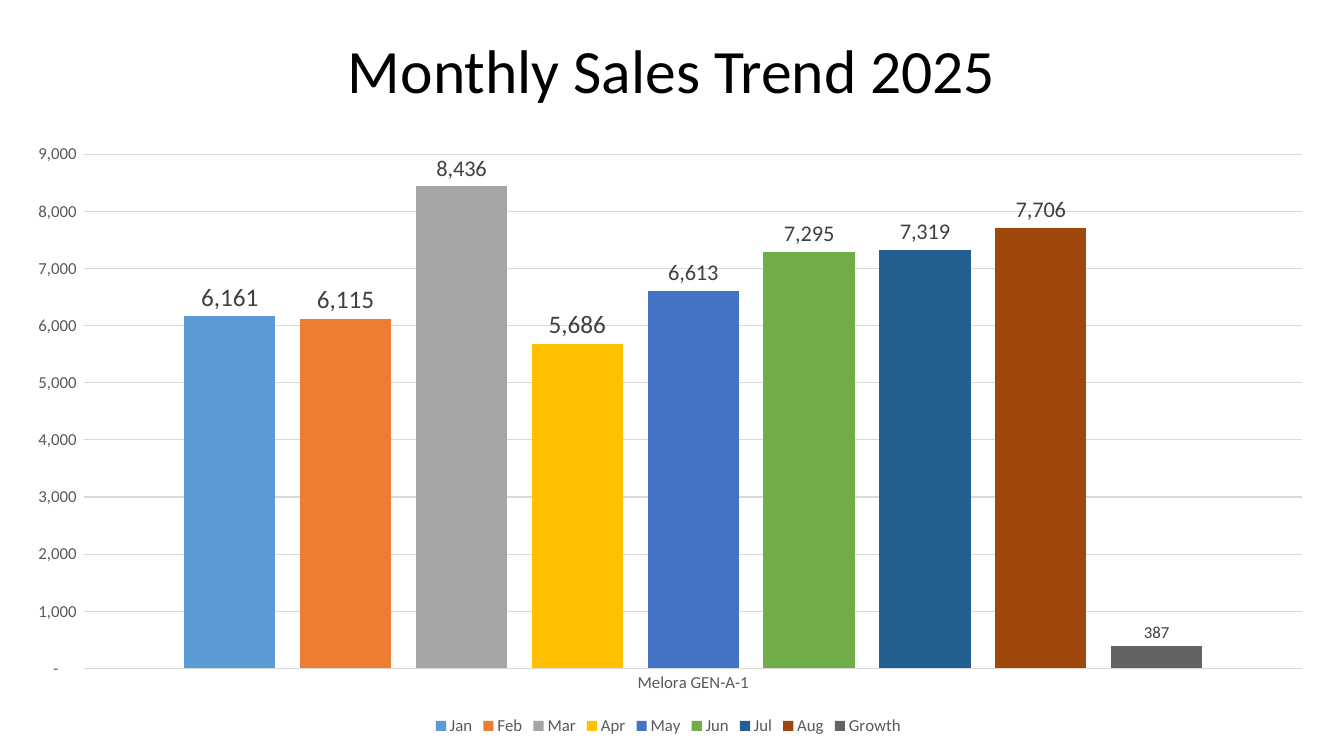
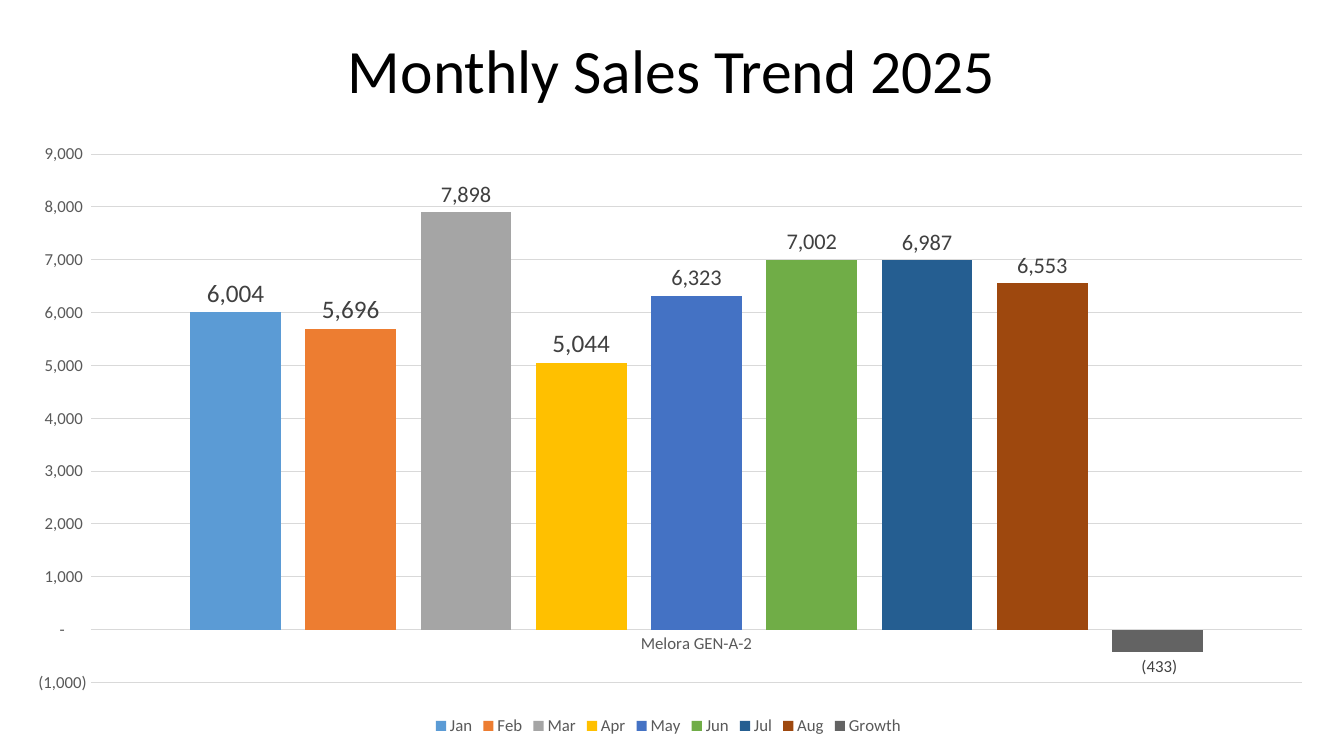
from dataclasses import dataclass

from pptx import Presentation
from pptx.chart import data as chart_data
from pptx.dml.color import RGBColor
from pptx.enum import chart as charts, text
from pptx.util import Pt


@dataclass(frozen=True)
class Theme:
    font: str = "Calibri"
    black: str = "000000"
    axis_text: str = "595959"
    label_text: str = "404040"
    rule: str = "D9D9D9"
    title_size: int = 44
    axis_size: int = 12
    base_size: int = 10
    rule_width: float = 0.75
    number_format: str = r'_(* #,##0_);_(* \(#,##0\);_(* "-"??_);_('


@dataclass(frozen=True)
class Box:
    left: float
    top: float
    width: float
    height: float

    def lengths(self) -> tuple:
        return Pt(self.left), Pt(self.top), Pt(self.width), Pt(self.height)


@dataclass(frozen=True)
class Column:
    name: str
    color: str
    label_size: int


@dataclass(frozen=True)
class Trend:
    product: str
    values: tuple[int, ...]


THEME = Theme()
TITLE = "Monthly Sales Trend 2025"
TITLE_BOX = Box(66, 10.8, 828, 83.5)
CHART_BOX = Box(5.8, 94.3, 943.2, 434.2)

COLUMNS = (
    Column("Jan", "5B9BD5", 18),
    Column("Feb", "ED7D31", 18),
    Column("Mar", "A5A5A5", 16),
    Column("Apr", "FFC000", 18),
    Column("May", "4472C4", 16),
    Column("Jun", "70AD47", 16),
    Column("Jul", "255E91", 16),
    Column("Aug", "9E480E", 16),
    Column("Growth", "636363", 12),
)

TRENDS = (
    Trend("Melora GEN-A-1", (6161, 6115, 8436, 5686, 6613, 7295, 7319, 7706, 387)),
    Trend("Melora GEN-A-2", (6004, 5696, 7898, 5044, 6323, 7002, 6987, 6553, -433)),
)


def set_font(font, size: float, color: str) -> None:
    font.name = THEME.font
    font.size = Pt(size)
    font.bold = False
    font.color.rgb = RGBColor.from_string(color)


def set_rule(line) -> None:
    line.color.rgb = RGBColor.from_string(THEME.rule)
    line.width = Pt(THEME.rule_width)


def add_title(page) -> None:
    title = page.shapes.title
    title.left, title.top, title.width, title.height = TITLE_BOX.lengths()
    frame = title.text_frame
    frame.vertical_anchor = text.MSO_ANCHOR.MIDDLE
    para = frame.paragraphs[0]
    para.alignment = text.PP_ALIGN.CENTER
    para.line_spacing = 0.9
    span = para.add_run()
    span.text = TITLE
    set_font(span.font, THEME.title_size, THEME.black)


def style_axes(chart) -> None:
    for axis in (chart.category_axis, chart.value_axis):
        axis.major_tick_mark = charts.XL_TICK_MARK.NONE
        axis.minor_tick_mark = charts.XL_TICK_MARK.NONE
        set_font(axis.tick_labels.font, THEME.axis_size, THEME.axis_text)
    set_rule(chart.category_axis.format.line)
    values = chart.value_axis
    values.format.line.fill.background()
    values.has_major_gridlines = True
    set_rule(values.major_gridlines.format.line)
    values.tick_labels.number_format = THEME.number_format
    values.tick_labels.number_format_is_linked = False


def style_series(series, column: Column) -> None:
    series.invert_if_negative = False
    series.format.fill.solid()
    series.format.fill.fore_color.rgb = RGBColor.from_string(column.color)
    labels = series.data_labels
    labels.show_value = True
    labels.position = charts.XL_LABEL_POSITION.OUTSIDE_END
    labels.number_format = THEME.number_format
    labels.number_format_is_linked = False
    set_font(labels.font, column.label_size, THEME.label_text)


def add_trend_chart(page, trend: Trend) -> None:
    data = chart_data.CategoryChartData(number_format=THEME.number_format)
    data.categories = [trend.product]
    for column, value in zip(COLUMNS, trend.values):
        data.add_series(column.name, [value])
    chart = page.shapes.add_chart(
        charts.XL_CHART_TYPE.COLUMN_CLUSTERED, *CHART_BOX.lengths(), data
    ).chart
    set_font(chart.font, THEME.base_size, THEME.black)
    chart.has_title = False
    chart.has_legend = True
    chart.legend.position = charts.XL_LEGEND_POSITION.BOTTOM
    chart.legend.include_in_layout = False
    set_font(chart.legend.font, THEME.axis_size, THEME.axis_text)
    style_axes(chart)
    plot = chart.plots[0]
    plot.gap_width = 219
    plot.overlap = -27
    plot.vary_by_categories = False
    for series, column in zip(plot.series, COLUMNS):
        style_series(series, column)


def main() -> None:
    deck = Presentation()
    deck.slide_width, deck.slide_height = Pt(960), Pt(540)
    title_only = deck.slide_layouts[5]
    for trend in TRENDS:
        page = deck.slides.add_slide(title_only)
        add_title(page)
        add_trend_chart(page, trend)
    deck.save("out.pptx")


if __name__ == "__main__":
    main()
